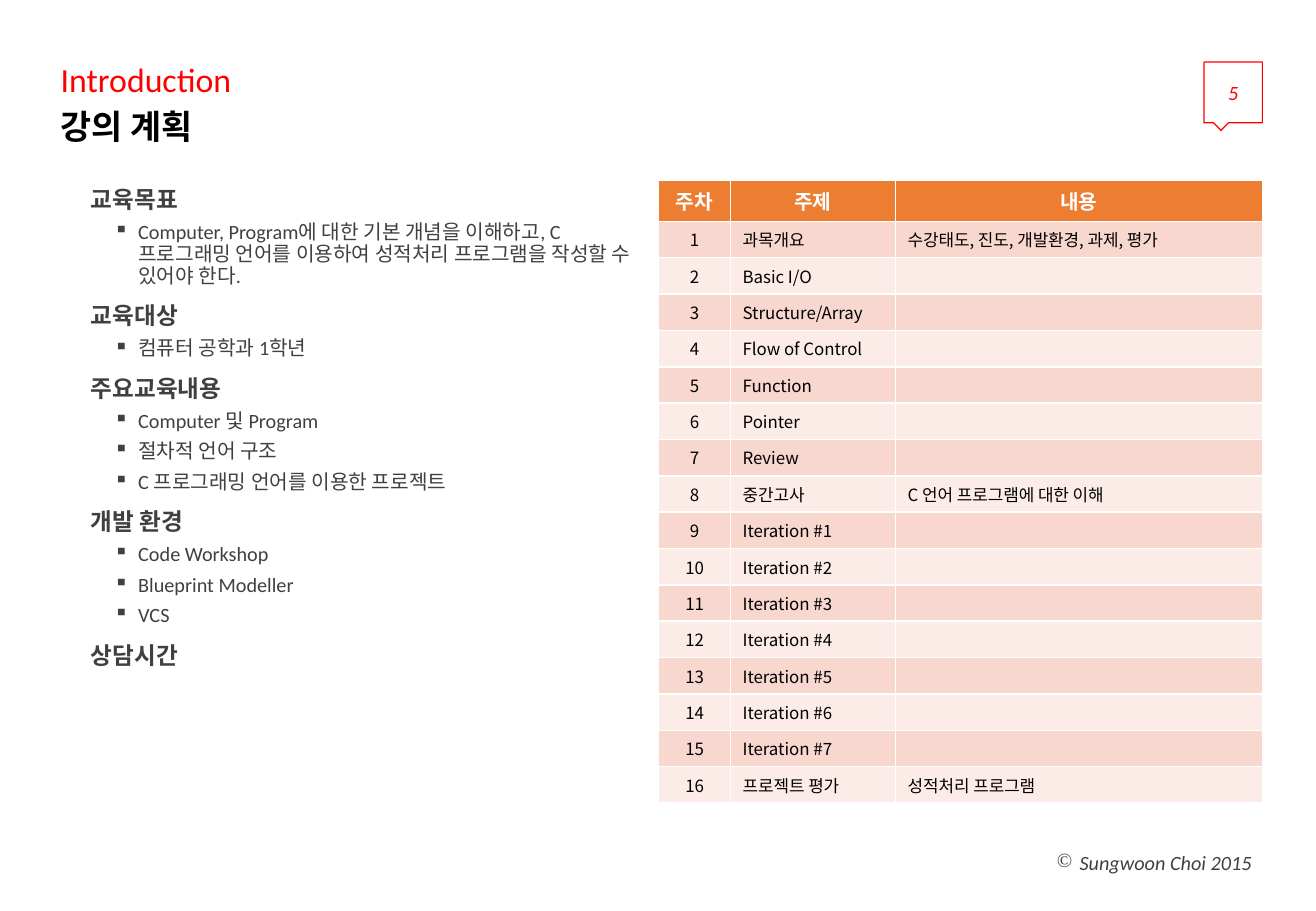
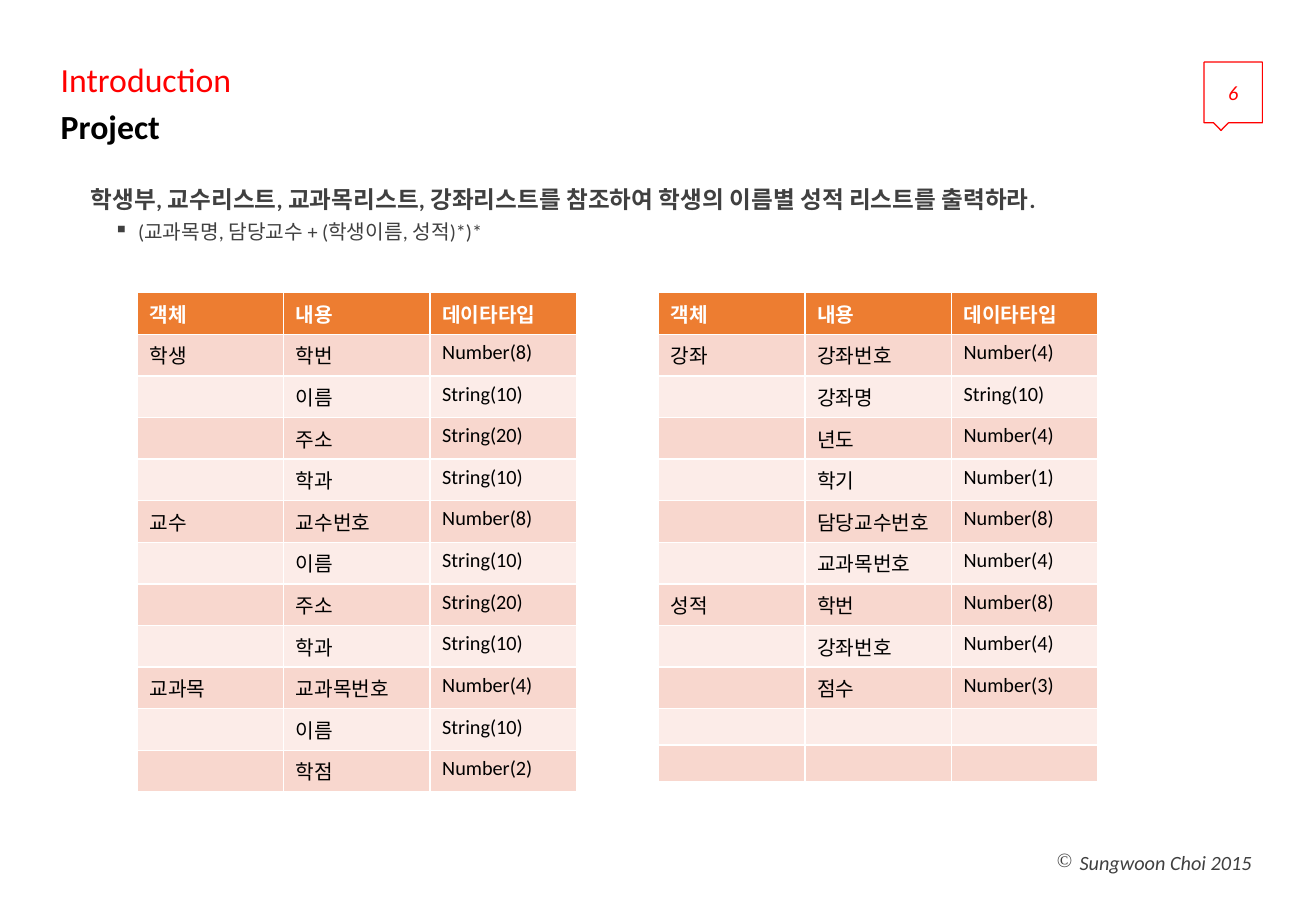
from lxml import etree
from pptx import Presentation
from pptx import util as u
from pptx.dml.color import RGBColor
from pptx.enum import shapes, text
from pptx.oxml import ns

Cm, Pt = u.Cm, u.Pt
HUES = {"red": "FF0000", "black": "000000", "gray": "404040", "white": "FFFFFF",
        "head": "ED7D31", "odd": "F8D7CE", "even": "FCECE8"}
LATIN, HANGUL = "Calibri", "Noto Sans CJK KR"
LEFT, MID = text.PP_ALIGN.LEFT, text.PP_ALIGN.CENTER
RIGHT = text.PP_ALIGN.RIGHT
FONTS = {
    "topic": {"size": Pt(20), "color": "red"},
    "title": {"size": Pt(20), "color": "black", "bold": True},
    "lead": {"size": Pt(14), "color": "gray", "bold": True},
    "item": {"size": Pt(12), "color": "gray", "bold": False},
    "page": {"size": Pt(12), "color": "red", "italic": True},
    "foot": {"size": Pt(12), "color": "gray", "italic": True},
    "head": {"size": Pt(12), "color": "white", "bold": True},
    "cell": {"size": Pt(12), "color": "black", "bold": False},
    "small": {"size": Pt(10), "color": "black", "bold": False},
}
PARAS = {
    "topic": {"line_spacing": 0.9},
    "title": {"line_spacing": 0.9},
    "lead": {"line_spacing": 0.9, "space_before": Pt(10)},
    "item": {"line_spacing": 0.9, "space_before": Pt(5)},
    "page": {"alignment": MID},
    "foot": {"alignment": RIGHT},
}
MARKS = {"item": ("▪", 0.99, 0.51), "foot": ("©", 0.48, 0.48)}


def rgb(hue):
    return RGBColor.from_string(HUES[hue])


class Deck:
    """Holds the shared style and the slide being filled."""

    def __init__(self):
        self.prs = Presentation()
        self.prs.slide_width, self.prs.slide_height = Cm(27.51), Cm(19.05)
        self.page = None

    def label(self, para, words, kind, face=LATIN):
        for key, val in PARAS.get(kind, {}).items():
            setattr(para, key, val)
        if kind in MARKS:
            mark, left, hang = MARKS[kind]
            prop = para._p.get_or_add_pPr()
            prop.set("marL", str(Cm(left)))
            prop.set("indent", str(-Cm(hang)))
            etree.SubElement(prop, ns.qn("a:buChar"), char=mark)
        if not words:
            size = int(FONTS[kind]["size"].pt * 100)
            etree.SubElement(para._p, ns.qn("a:endParaRPr"), sz=str(size))
            return
        run = para.add_run()
        run.text = words
        run.font.name = face
        for key, val in FONTS[kind].items():
            if key == "color":
                run.font.color.rgb = rgb(val)
            else:
                setattr(run.font, key, val)
        prop = run._r.get_or_add_rPr()
        etree.SubElement(prop, ns.qn("a:ea"), typeface=HANGUL)

    def box(self, area, lines, anchor=text.MSO_ANCHOR.MIDDLE):
        """Adds a text box; lines are (kind, words) pairs."""
        frame = self.page.shapes.add_textbox(*map(Cm, area)).text_frame
        frame.word_wrap = True
        frame.vertical_anchor = anchor
        for i, (kind, words) in enumerate(lines):
            para = frame.add_paragraph() if i else frame.paragraphs[0]
            self.label(para, words, kind)

    def badge(self, num):
        area = map(Cm, (25.17, 1.3, 1.22, 1.27))
        tag = self.page.shapes.add_shape(
            shapes.MSO_SHAPE.RECTANGULAR_CALLOUT, *area)
        tag.shadow.inherit = False
        tag.fill.background()
        tag.line.color.rgb = rgb("red")
        tag.line.width = Pt(0.75)
        tag.text_frame.vertical_anchor = text.MSO_ANCHOR.MIDDLE
        self.label(tag.text_frame.paragraphs[0], str(num), "page")

    def slide(self, title, num):
        """Starts a slide with its title, page badge and footer."""
        self.page = self.prs.slides.add_slide(self.prs.slide_layouts[6])
        self.box((1.02, 2.16, 23.42, 1.04), [("title", title)])
        self.box((1.02, 1.12, 23.42, 1.17), [("topic", "Introduction")])
        self.badge(num)
        self.box((17.12, 17.53, 9.3, 1.02), [("foot", "Sungwoon Choi 2015")])

    def body(self, width, groups):
        lines = []
        for lead, items in groups:
            lines.append(("lead", lead))
            lines += [("item", item) for item in items]
        self.box((1.65, 3.81, width, 13.61), lines, text.MSO_ANCHOR.TOP)

    def table(self, left, top, cols, rows, kind="cell", face=LATIN,
              heads=(LEFT,) * 3, sides=(LEFT,) * 3):
        """Adds a banded table; its white rules come from the table style."""
        tall = [0.76 if kind == "small" or not any(row) else 0.87
                for row in rows]
        tall[0] = 0.87
        grid = self.page.shapes.add_table(
            len(rows), len(cols), Cm(left), Cm(top),
            Cm(sum(cols)), Cm(sum(tall))).table
        for col, width in zip(grid.columns, cols):
            col.width = Cm(width)
        for r, row in enumerate(rows):
            grid.rows[r].height = Cm(tall[r])
            hue = "head" if r == 0 else "odd" if r % 2 else "even"
            for c, words in enumerate(row):
                cell = grid.cell(r, c)
                cell.fill.solid()
                cell.fill.fore_color.rgb = rgb(hue)
                para = cell.text_frame.paragraphs[0]
                para.alignment = (sides if r else heads)[c]
                self.label(para, words, kind if r else "head", face)


PLAN = [
    ("교육목표", ["Computer, Program에 대한 기본 개념을 이해하고, C 프로그래밍 언어를 "
              "이용하여 성적처리 프로그램을 작성할 수 있어야 한다."]),
    ("교육대상", ["컴퓨터 공학과 1학년"]),
    ("주요교육내용", ["Computer 및 Program", "절차적 언어 구조",
                "C 프로그래밍 언어를 이용한 프로젝트"]),
    ("개발 환경", ["Code Workshop", "Blueprint Modeller", "VCS"]),
    ("상담시간", []),
]
TOPICS = ["과목개요", "Basic I/O", "Structure/Array", "Flow of Control", "Function",
          "Pointer", "Review", "중간고사",
          *(f"Iteration #{i}" for i in range(1, 8)), "프로젝트 평가"]
NOTES = {1: "수강태도, 진도, 개발환경, 과제, 평가", 8: "C 언어 프로그램에 대한 이해",
         16: "성적처리 프로그램"}
WEEKS = [("주차", "주제", "내용")] + [
    (str(i), topic, NOTES.get(i, "")) for i, topic in enumerate(TOPICS, 1)]

TASK = [("학생부, 교수리스트, 교과목리스트, 강좌리스트를 참조하여 학생의 이름별 성적 리스트를 출력하라.",
         ["(교과목명, 담당교수 + (학생이름, 성적)*)*"])]
FIELDS = ("객체", "내용", "데이타타입")
PERSON = [("", "이름", "String(10)"), ("", "주소", "String(20)"),
          ("", "학과", "String(10)")]
PEOPLE = [
    FIELDS,
    ("학생", "학번", "Number(8)"), *PERSON,
    ("교수", "교수번호", "Number(8)"), *PERSON,
    ("교과목", "교과목번호", "Number(4)"),
    ("", "이름", "String(10)"),
    ("", "학점", "Number(2)"),
]
COURSES = [
    FIELDS,
    ("강좌", "강좌번호", "Number(4)"),
    ("", "강좌명", "String(10)"),
    ("", "년도", "Number(4)"),
    ("", "학기", "Number(1)"),
    ("", "담당교수번호", "Number(8)"),
    ("", "교과목번호", "Number(4)"),
    ("성적", "학번", "Number(8)"),
    ("", "강좌번호", "Number(4)"),
    ("", "점수", "Number(3)"),
    *[("", "", "")] * 2,
]


def main():
    deck = Deck()
    deck.slide("강의 계획", 5)
    deck.body(12.12, PLAN)
    deck.table(13.77, 3.76, (1.5, 3.45, 7.67), WEEKS, "small", HANGUL,
               heads=(MID,) * 3, sides=(MID, LEFT, LEFT))
    deck.slide("Project", 6)
    deck.body(24.28, TASK)
    for left, rows in ((2.87, PEOPLE), (13.77, COURSES)):
        deck.table(left, 6.12, (3.06,) * 3, rows)
    deck.prs.save("out.pptx")


if __name__ == "__main__":
    main()
